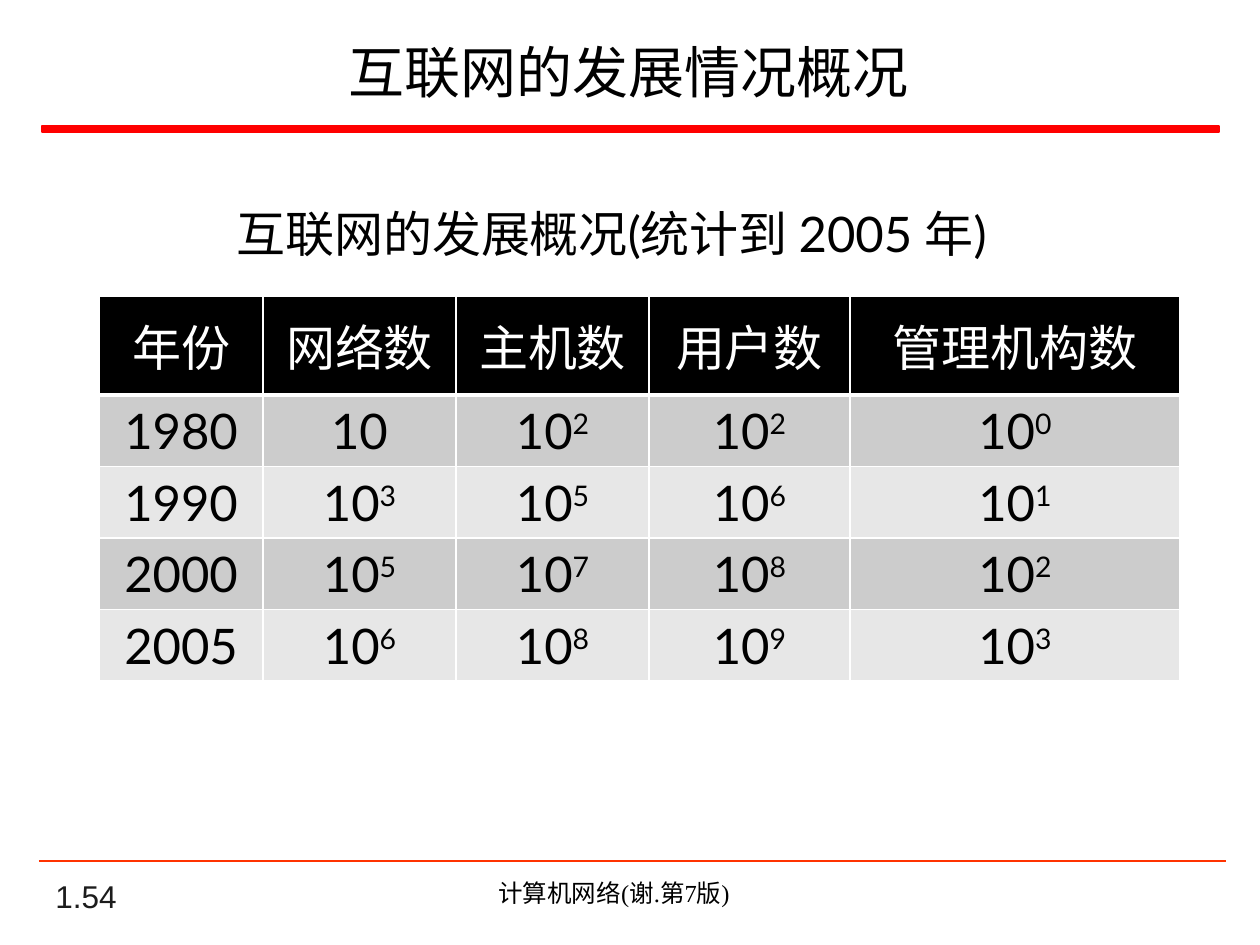
from pptx import Presentation
from pptx.dml.color import RGBColor
from pptx.enum.shapes import MSO_CONNECTOR as CONNECTOR, MSO_SHAPE as SHAPE
from pptx.enum.text import MSO_ANCHOR as ANCHOR, PP_ALIGN as ALIGN
from pptx.oxml.ns import qn
from pptx.util import Emu, Pt
from lxml.etree import SubElement

PX_PER_INCH = 126
BLACK = RGBColor(0x00, 0x00, 0x00)
WHITE = RGBColor(0xFF, 0xFF, 0xFF)
CHARCOAL = RGBColor(0x1C, 0x1C, 0x1C)
RED = RGBColor(0xFF, 0x00, 0x00)
ORANGE = RGBColor(0xFF, 0x33, 0x00)
BANDS = RGBColor(0xCC, 0xCC, 0xCC), RGBColor(0xE7, 0xE7, 0xE7)

HEADINGS = ["年份", "网络数", "主机数", "用户数", "管理机构数"]
GROWTH = [
    ["1980", "10", "10^2", "10^2", "10^0"],
    ["1990", "10^3", "10^5", "10^6", "10^1"],
    ["2000", "10^5", "10^7", "10^8", "10^2"],
    ["2005", "10^6", "10^8", "10^9", "10^3"],
]
COLUMN_WIDTHS = [164, 193, 193, 201, 330]
HEADER_HEIGHT, ROW_HEIGHT = 99, 71


def px(length):
    return Emu(round(length * 914400 / PX_PER_INCH))


def write(frame, text, size=28, font="Lato", color=BLACK, align=ALIGN.CENTER):
    """Fill the frame with one paragraph; whatever follows ^ is superscript."""
    paragraph = frame.paragraphs[0]
    paragraph.alignment = align
    for level, part in enumerate(text.split("^")):
        run = paragraph.add_run()
        run.text = part
        run.font.size = Pt(size)
        run.font.name = font
        run.font.color.rgb = color
        if level:
            run.font._element.set("baseline", "30000")


def add_border(cell, side, width):
    line = SubElement(cell._tc.get_or_add_tcPr(), qn(f"a:ln{side}"), w=str(Pt(width)))
    fill = SubElement(line, qn("a:solidFill"))
    SubElement(fill, qn("a:srgbClr"), val=str(WHITE))


class SlideBuilder:
    def __init__(self, slide):
        self.shapes = slide.shapes

    def text(self, left, top, width, height, text, anchor=ANCHOR.TOP, **style):
        box = self.shapes.add_textbox(px(left), px(top), px(width), px(height))
        frame = box.text_frame
        frame.word_wrap = True
        frame.vertical_anchor = anchor
        write(frame, text, **style)

    def bar(self, left, top, width, height, color):
        bar = self.shapes.add_shape(SHAPE.RECTANGLE, px(left), px(top), px(width), px(height))
        bar.shadow.inherit = False
        bar.fill.solid()
        bar.fill.fore_color.rgb = color
        bar.line.color.rgb = color
        bar.line.width = Pt(1)

    def rule(self, left, right, y, color, weight):
        rule = self.shapes.add_connector(CONNECTOR.STRAIGHT, px(left), px(y), px(right), px(y))
        rule.line.color.rgb = color
        rule.line.width = Pt(weight)
        SubElement(rule._element.spPr, qn("a:effectLst"))

    def table(self, left, top, rows, widths, heights):
        table = self.shapes.add_table(len(rows), len(widths), px(left), px(top),
                                      px(sum(widths)), px(sum(heights))).table
        for column, width in zip(table.columns, widths):
            column.width = px(width)
        for r, (values, height) in enumerate(zip(rows, heights)):
            table.rows[r].height = px(height)
            for c, value in enumerate(values):
                self.cell(table.cell(r, c), value, r)

    def cell(self, cell, value, row):
        is_header = row == 0
        for side in "LRTB":
            add_border(cell, side, 3 if is_header and side == "B" else 1)
        cell.fill.solid()
        cell.fill.fore_color.rgb = BLACK if is_header else BANDS[(row - 1) % 2]
        cell.vertical_anchor = ANCHOR.MIDDLE
        write(cell.text_frame, value, color=WHITE if is_header else BLACK)


def main():
    deck = Presentation()
    deck.slide_width, deck.slide_height = px(1260), px(945)
    slide = SlideBuilder(deck.slides.add_slide(deck.slide_layouts[6]))

    slide.text(43, 879, 262, 42, "1.54", anchor=ANCHOR.BOTTOM,
               size=18, font="Arial", color=CHARCOAL, align=ALIGN.LEFT)
    slide.bar(42, 126, 1177, 6, RED)
    slide.rule(39, 1226, 861, ORANGE, 1.5)
    slide.text(357, 872, 514, 43, "计算机网络(谢.第7版)", size=14, font="Times New Roman")
    slide.text(49, 28, 1160, 87, "互联网的发展情况概况", anchor=ANCHOR.MIDDLE, size=32)
    slide.table(99, 296, [HEADINGS, *GROWTH], COLUMN_WIDTHS,
                [HEADER_HEIGHT] + [ROW_HEIGHT] * len(GROWTH))
    slide.text(187, 197, 849, 72, "互联网的发展概况(统计到 2005 年)")

    deck.save("out.pptx")


if __name__ == "__main__":
    main()
